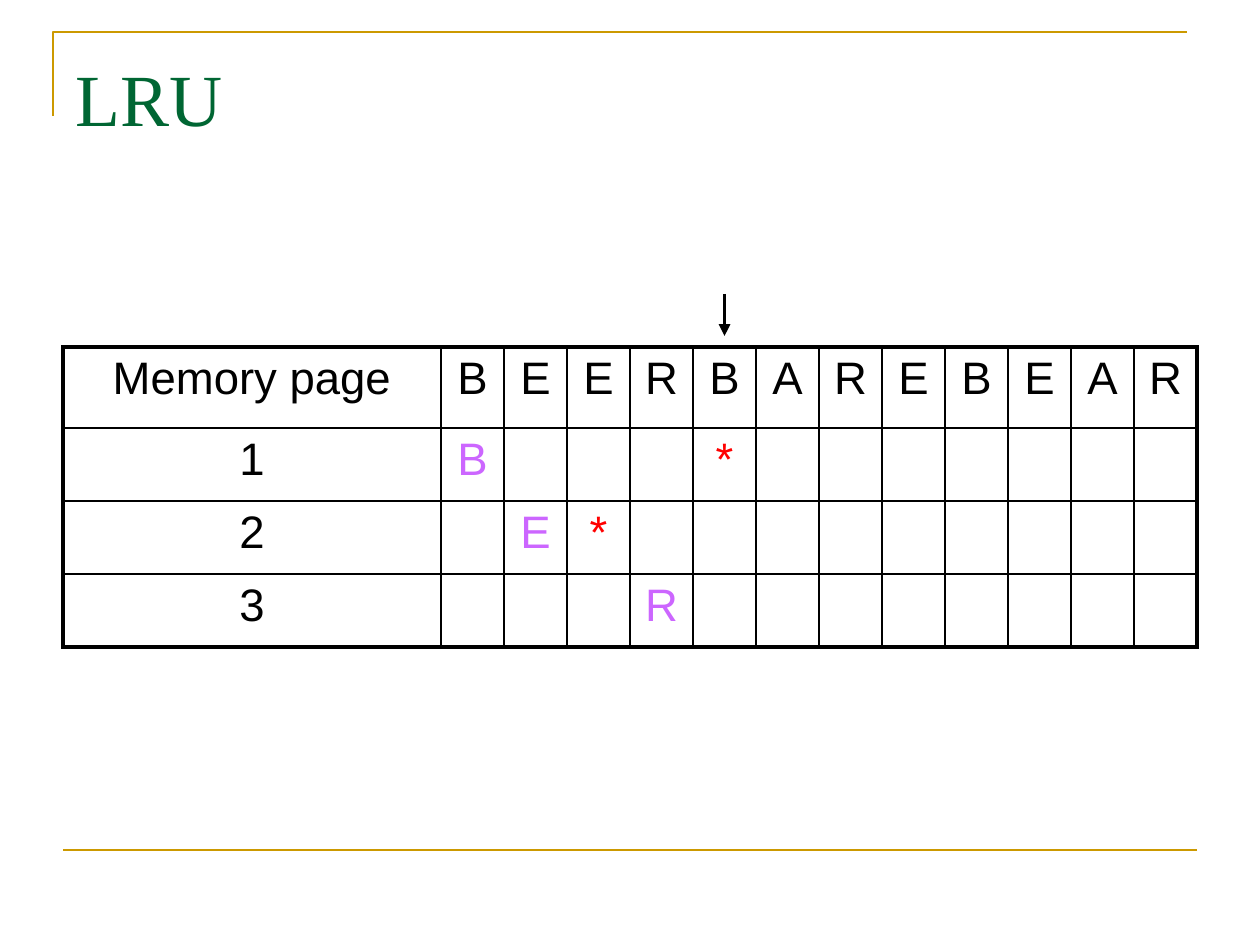
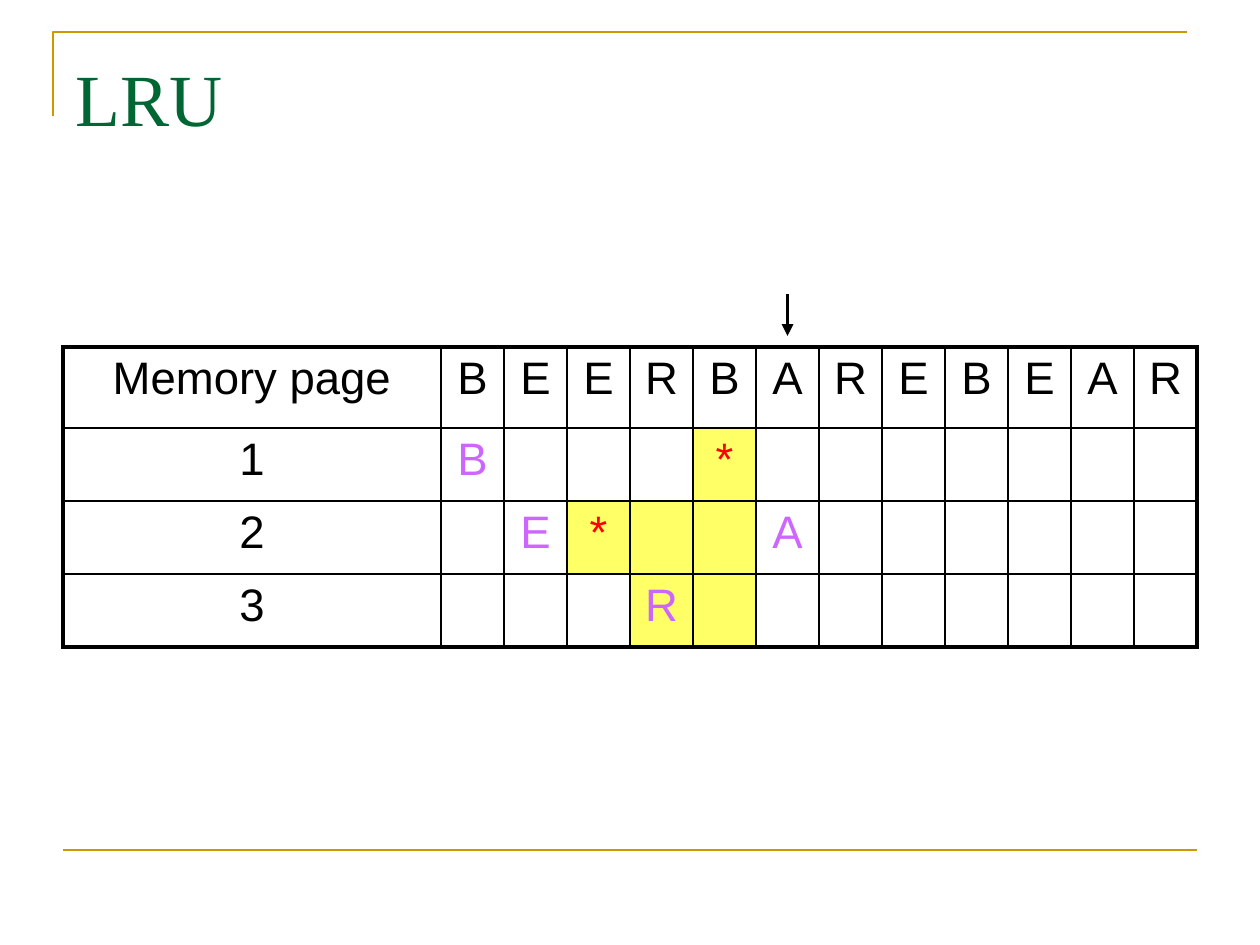
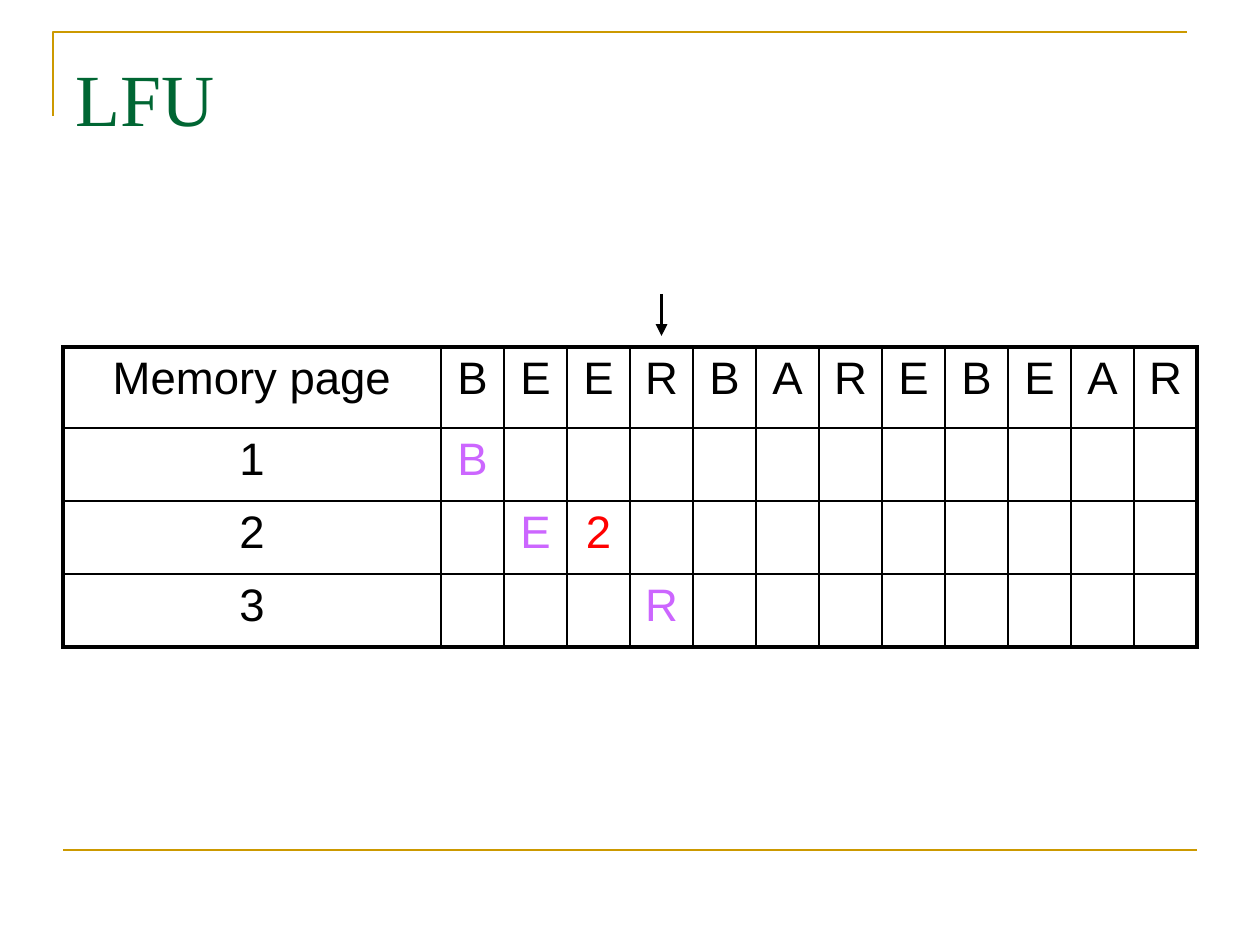
from dataclasses import dataclass

from pptx import Presentation
from pptx import util as u
from pptx.dml.color import RGBColor
from pptx.enum import shapes, text
from pptx.oxml.ns import qn
from lxml import etree

# Content: "." is an empty cell, a letter is a page load, any other mark is a hit
HEADER = "Memory page"
REQUESTS = "BEERBAREBEAR"
SLIDES = [
    {"title": "LRU", "pointer": 5, "highlights": {},
     "pages": ["B...*.......", ".E*.........", "...R........"]},
    {"title": "LRU", "pointer": 6, "highlights": {1: [5], 2: [3, 4, 5], 3: [4, 5]},
     "pages": ["B...*.......", ".E*..A......", "...R........"]},
    {"title": "LFU", "pointer": 4, "highlights": {},
     "pages": ["B...........", ".E2.........", "...R........"]},
]


@dataclass(frozen=True)
class Theme:
    title_font: str = "Times New Roman"
    body_font: str = "Arial"
    title_size: int = 42
    body_size: int = 26
    title: str = "006633"
    rule: str = "CC9900"
    ink: str = "000000"
    load: str = "CC66FF"
    hit: str = "FF0000"
    paper: str = "FFFFFF"
    highlight: str = "FFFF66"
    rule_width: float = 1.5
    grid_width: float = 1
    frame_width: float = 2.25


THEME = Theme()

# Layout in px
PX = u.Inches(1) / 126
SLIDE_SIZE = (1260, 945)
CORNER = [(53, 116), (53, 32), (1187, 32)]
FOOTER = (63, 850, 1197, 850)
TITLE_BOX = (63, 38, 1134, 158)
TITLE_INSET = 15
TABLE_LEFT, TABLE_TOP = 63, 347
LABEL_WIDTH, STEP_WIDTH = 378, 63
HEADER_HEIGHT, PAGE_HEIGHT = 81, 73
ARROW_TOP, ARROW_BOTTOM = 294, 336


def px(*lengths):
    return [u.Emu(round(length * PX)) for length in lengths]


def style_line(line, color, width):
    line.color.rgb = RGBColor.from_string(color)
    line.width = u.Pt(width)


def style_text(paragraph, font_name, size, color):
    for run in paragraph.runs:
        run.font.name = font_name
        run.font.size = u.Pt(size)
        run.font.color.rgb = RGBColor.from_string(color)


def add_line(slide, ends, color, width):
    line = slide.shapes.add_connector(shapes.MSO_CONNECTOR.STRAIGHT, *px(*ends))
    style_line(line.line, color, width)
    etree.SubElement(line._element.spPr, qn("a:effectLst"))
    return line


def add_frame(slide, title):
    # Corner rule
    builder = slide.shapes.build_freeform(*CORNER[0], scale=PX)
    builder.add_line_segments(CORNER[1:], close=False)
    corner = builder.convert_to_shape()
    corner.shadow.inherit = False
    corner.fill.background()
    style_line(corner.line, THEME.rule, THEME.rule_width)
    # Footer rule
    add_line(slide, FOOTER, THEME.rule, THEME.rule_width)
    # Title
    frame = slide.shapes.add_textbox(*px(*TITLE_BOX)).text_frame
    frame.word_wrap = True
    frame.margin_top = px(TITLE_INSET)[0]
    frame.text = title
    style_text(frame.paragraphs[0], THEME.title_font, THEME.title_size, THEME.title)


def set_borders(cell, outer_sides):
    properties = cell._tc.get_or_add_tcPr()
    for index, side in enumerate("LRTB"):
        width = THEME.frame_width if side in outer_sides else THEME.grid_width
        border = etree.Element(qn(f"a:ln{side}"), w=str(u.Pt(width)))
        fill = etree.SubElement(border, qn("a:solidFill"))
        etree.SubElement(fill, qn("a:srgbClr"), val=THEME.ink)
        properties.insert(index, border)


def fill_cell(cell, content, color, background):
    cell.fill.solid()
    cell.fill.fore_color.rgb = RGBColor.from_string(background)
    cell.text_frame.text = content
    paragraph = cell.text_frame.paragraphs[0]
    paragraph.alignment = text.PP_ALIGN.CENTER
    spacing = etree.SubElement(paragraph._p.get_or_add_pPr(), qn("a:spcBef"))
    etree.SubElement(spacing, qn("a:spcPct"), val="20000")
    style_text(paragraph, THEME.body_font, THEME.body_size, color)


def mark_color(row, column, mark):
    if row == 0 or column == 0:
        return THEME.ink
    return THEME.load if mark.isalpha() else THEME.hit


def add_page_table(slide, pages, highlights):
    rows = [[HEADER, *REQUESTS]]
    rows += [[str(number), *marks] for number, marks in enumerate(pages, 1)]
    widths = [LABEL_WIDTH] + [STEP_WIDTH] * len(REQUESTS)
    heights = [HEADER_HEIGHT] + [PAGE_HEIGHT] * len(pages)
    table = slide.shapes.add_table(
        len(rows), len(widths),
        *px(TABLE_LEFT, TABLE_TOP, sum(widths), sum(heights))).table
    table.first_row = table.horz_banding = False
    for column, width in zip(table.columns, px(*widths)):
        column.width = width
    for row, height in zip(table.rows, px(*heights)):
        row.height = height
    for r, row in enumerate(rows):
        for c, mark in enumerate(row):
            cell = table.cell(r, c)
            lit = c in highlights.get(r, [])
            fill_cell(cell, mark.replace(".", ""), mark_color(r, c, mark),
                      THEME.highlight if lit else THEME.paper)
            edges = {"L": c == 0, "R": c == len(row) - 1,
                     "T": r == 0, "B": r == len(rows) - 1}
            set_borders(cell, [side for side, outer in edges.items() if outer])


def add_pointer(slide, step):
    x = TABLE_LEFT + LABEL_WIDTH + (step - 0.5) * STEP_WIDTH
    arrow = add_line(slide, (x, ARROW_TOP, x, ARROW_BOTTOM), THEME.ink, THEME.frame_width)
    etree.SubElement(arrow.line._get_or_add_ln(), qn("a:tailEnd"), type="triangle")


def main():
    presentation = Presentation()
    presentation.slide_width, presentation.slide_height = px(*SLIDE_SIZE)
    for content in SLIDES:
        slide = presentation.slides.add_slide(presentation.slide_layouts[6])
        add_frame(slide, content["title"])
        add_page_table(slide, content["pages"], content["highlights"])
        add_pointer(slide, content["pointer"])
    presentation.save("out.pptx")


if __name__ == "__main__":
    main()
